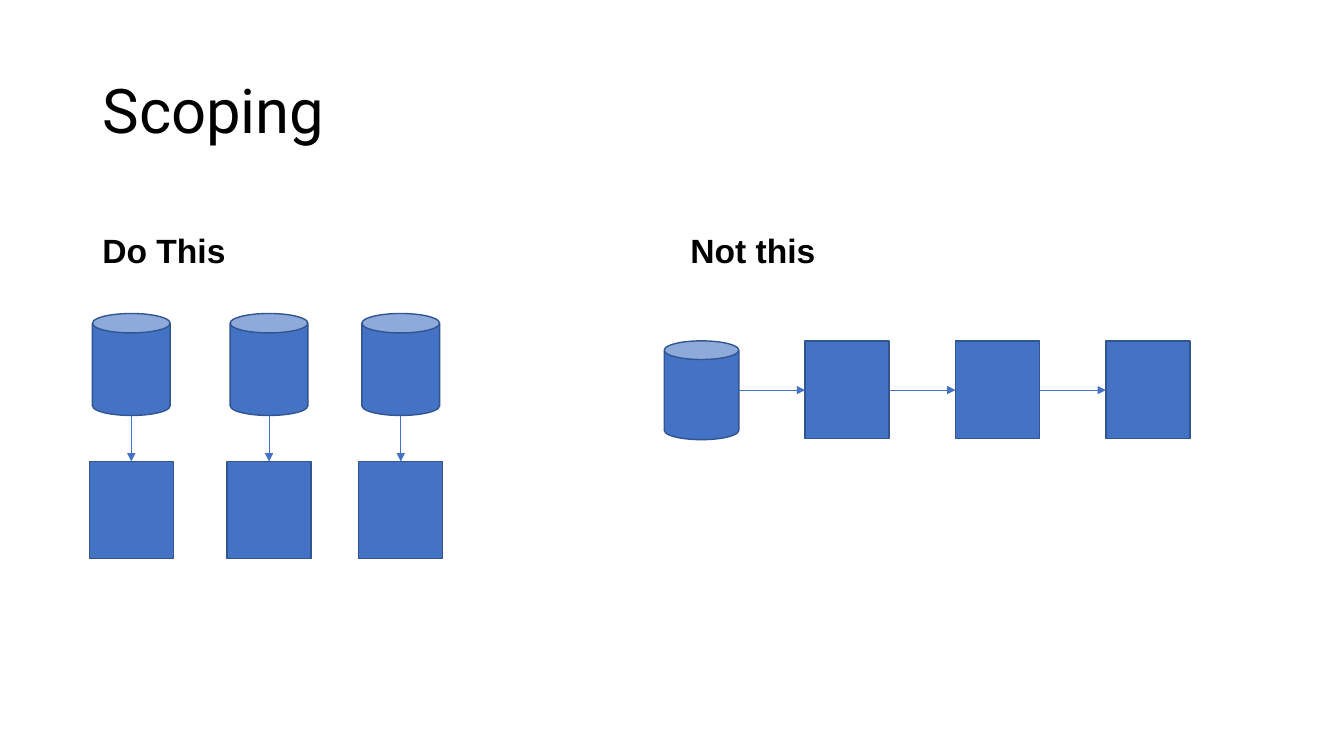
from lxml import etree
from pptx import Presentation
from pptx.dml.color import RGBColor
from pptx.enum.shapes import MSO_CONNECTOR, MSO_SHAPE
from pptx.enum.text import MSO_ANCHOR, MSO_AUTO_SIZE, PP_ALIGN
from pptx.oxml.ns import qn
from pptx.util import Cm, Pt

CAN = MSO_SHAPE.CAN
RECTANGLE = MSO_SHAPE.RECTANGLE
STRAIGHT = MSO_CONNECTOR.STRAIGHT
LEFT = PP_ALIGN.LEFT
MIDDLE = MSO_ANCHOR.MIDDLE
BOTTOM = MSO_ANCHOR.BOTTOM
NO_AUTOFIT = MSO_AUTO_SIZE.NONE

BLACK = "000000"
BLUE = "4472C4"
DARK_BLUE = "325491"
TITLE_ONLY = 5


def rgb(value):
    return RGBColor.from_string(value)


def set_text(sp, text, font, size, anchor, bold=False):
    tf = sp.text_frame
    tf.text = text
    tf.word_wrap = True
    tf.auto_size = NO_AUTOFIT
    tf.vertical_anchor = anchor
    p = tf.paragraphs[0]
    p.alignment = LEFT
    p.line_spacing = 0.9
    r = p.runs[0]
    r.font.name = font
    r.font.size = Pt(size)
    r.font.bold = bold
    r.font.color.rgb = rgb(BLACK)


def add_title(s, text):
    sp = s.shapes.title
    sp.left, sp.top, sp.width, sp.height = Cm(2.33), Cm(1.01), Cm(29.21), Cm(3.68)
    set_text(sp, text, "Roboto", 44, MIDDLE)


def add_heading(s, text, left):
    sp = s.shapes.add_textbox(Cm(left), Cm(4.67), Cm(14.35), Cm(2.29))
    set_text(sp, text, "Arial", 24, BOTTOM, bold=True)


def add_block(s, kind, left, top, width, height):
    sp = s.shapes.add_shape(kind, Cm(left), Cm(top), Cm(width), Cm(height))
    sp.shadow.inherit = False
    sp.fill.solid()
    sp.fill.fore_color.rgb = rgb(BLUE)
    sp.line.color.rgb = rgb(DARK_BLUE)
    sp.line.width = Pt(1)


def add_arrow(s, x1, y1, x2, y2):
    arrow = s.shapes.add_connector(STRAIGHT, Cm(x1), Cm(y1), Cm(x2), Cm(y2))
    arrow.line.color.rgb = rgb(BLUE)
    arrow.line.width = Pt(0.5)
    etree.SubElement(arrow.line._get_or_add_ln(), qn("a:tailEnd"), type="triangle")
    etree.SubElement(arrow._element.spPr, qn("a:effectLst"))


def add_pair(s, center):
    add_block(s, CAN, center - 0.98, 7.9, 1.96, 2.57)
    add_block(s, RECTANGLE, center - 1.06, 11.63, 2.12, 2.45)
    add_arrow(s, center, 10.47, center, 11.63)


def add_chain(s):
    top, gap, width = 8.59, 1.67, 2.12
    add_block(s, CAN, 16.74, top, 1.88, 2.49)
    for i in range(3):
        left = 20.29 + i * (width + gap)
        add_block(s, RECTANGLE, left, top, width, 2.46)
        add_arrow(s, left - gap, 9.83, left, 9.83)


def main():
    prs = Presentation()
    prs.slide_width, prs.slide_height = Cm(33.87), Cm(19.05)
    s = prs.slides.add_slide(prs.slide_layouts[TITLE_ONLY])
    add_title(s, "Scoping")
    add_heading(s, "Do This", 2.33)
    add_heading(s, "Not this", 17.15)
    for center in (3.31, 6.78, 10.1):
        add_pair(s, center)
    add_chain(s)
    prs.save("out.pptx")


if __name__ == "__main__":
    main()
